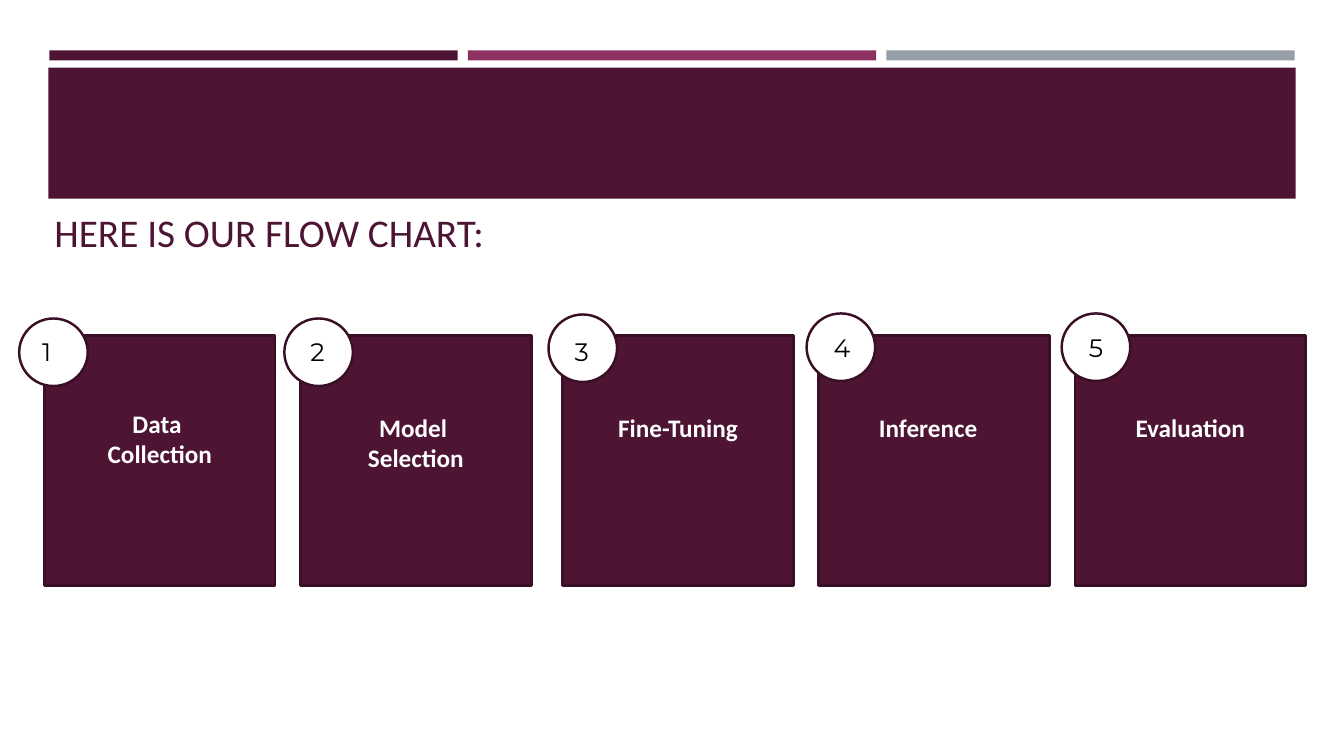
from dataclasses import dataclass

from pptx import Presentation
from pptx.dml.color import RGBColor
from pptx.enum.shapes import MSO_SHAPE as Shape
from pptx.enum.text import MSO_ANCHOR as Anchor, MSO_AUTO_SIZE as AutoSize, PP_ALIGN as Align
from pptx.shapes.autoshape import Shape as AutoShape
from pptx.slide import Slide
from pptx.util import Inches, Pt


@dataclass(frozen=True)
class Theme:
    plum: str = "4D1434"
    outline: str = "390F26"
    magenta: str = "903163"
    grey: str = "969FA7"
    white: str = "FFFFFF"
    black: str = "000000"
    text_font: str = "Calibri"
    number_font: str = "Montserrat"
    title_size: int = 28
    step_size: int = 18
    line_width: float = 1.75


@dataclass(frozen=True)
class Box:
    left: float
    top: float
    width: float
    height: float

    def lengths(self) -> tuple[Inches, Inches, Inches, Inches]:
        return Inches(self.left), Inches(self.top), Inches(self.width), Inches(self.height)


@dataclass(frozen=True)
class Step:
    label: str
    card_left: float
    label_left: float
    label_top: float
    circle_left: float
    circle_top: float
    number_left: float
    number_top: float


THEME = Theme()
CARD_TOP, CARD_WIDTH, CARD_HEIGHT = 3.33, 2.29, 2.48
STEPS = [
    Step("Data \nCollection", 0.44, 0.44, 4.0, 0.19, 3.16, 0.32, 3.29),
    Step("Model \nSelection", 2.98, 2.98, 4.04, 2.82, 3.16, 2.98, 3.29),
    Step("Fine-Tuning", 5.58, 5.58, 4.04, 5.44, 3.12, 5.6, 3.29),
    Step("Inference", 8.12, 8.06, 4.04, 8.0, 3.11, 8.17, 3.25),
    Step("Evaluation", 10.66, 10.66, 4.04, 10.53, 3.11, 10.7, 3.25),
]


def add_block(page: Slide, kind: Shape, box: Box, fill: str, line: str | None = None) -> None:
    block = page.shapes.add_shape(kind, *box.lengths())
    block.shadow.inherit = False
    block.fill.solid()
    block.fill.fore_color.rgb = RGBColor.from_string(fill)
    if line is None:
        block.line.fill.background()
    else:
        block.line.color.rgb = RGBColor.from_string(line)
        block.line.width = Pt(THEME.line_width)


def write(shape: AutoShape, text: str, font: str, size: int, color: str,
          align: Align = Align.LEFT, bold: bool = False) -> None:
    frame = shape.text_frame
    frame.word_wrap = True
    frame.text = text
    for para in frame.paragraphs:
        para.alignment = align
        for span in para.runs:
            span.font.name = font
            span.font.size = Pt(size)
            span.font.bold = bold
            span.font.color.rgb = RGBColor.from_string(color)


def add_header(page: Slide) -> None:
    for index, color in enumerate([THEME.plum, THEME.magenta, THEME.grey]):
        add_block(page, Shape.RECTANGLE, Box(0.49 + index * 4.15, 0.5, 4.05, 0.1), color)
    add_block(page, Shape.RECTANGLE, Box(0.48, 0.67, 12.37, 1.3), THEME.plum)


def add_title(page: Slide) -> None:
    title = page.shapes.title
    title.left, title.top, title.width, title.height = Box(0.44, 1.47, 12.06, 1.11).lengths()
    write(title, "HERE IS OUR FLOW CHART:", THEME.text_font, THEME.title_size, THEME.plum)
    title.text_frame.vertical_anchor = Anchor.BOTTOM
    title.text_frame.auto_size = AutoSize.NONE


def add_step(page: Slide, number: int, step: Step) -> None:
    add_block(page, Shape.RECTANGLE, Box(step.card_left, CARD_TOP, CARD_WIDTH, CARD_HEIGHT),
              THEME.plum, THEME.outline)
    add_block(page, Shape.OVAL, Box(step.circle_left, step.circle_top, 0.68, 0.67),
              THEME.white, THEME.outline)

    number_box = page.shapes.add_textbox(
        *Box(step.number_left, step.number_top, 0.55, 0.4).lengths())
    write(number_box, str(number), THEME.number_font, THEME.step_size, THEME.black)

    label_height = 0.4 + 0.31 * step.label.count("\n")
    label_box = page.shapes.add_textbox(
        *Box(step.label_left, step.label_top, CARD_WIDTH, label_height).lengths())
    write(label_box, step.label, THEME.text_font, THEME.step_size, THEME.white,
          Align.CENTER, bold=True)


def main() -> None:
    deck = Presentation()
    deck.slide_width, deck.slide_height = Inches(13.33), Inches(7.5)
    page = deck.slides.add_slide(deck.slide_layouts.get_by_name("Title Only"))
    add_header(page)
    add_title(page)
    for number, step in enumerate(STEPS, start=1):
        add_step(page, number, step)
    deck.save("out.pptx")


if __name__ == "__main__":
    main()
